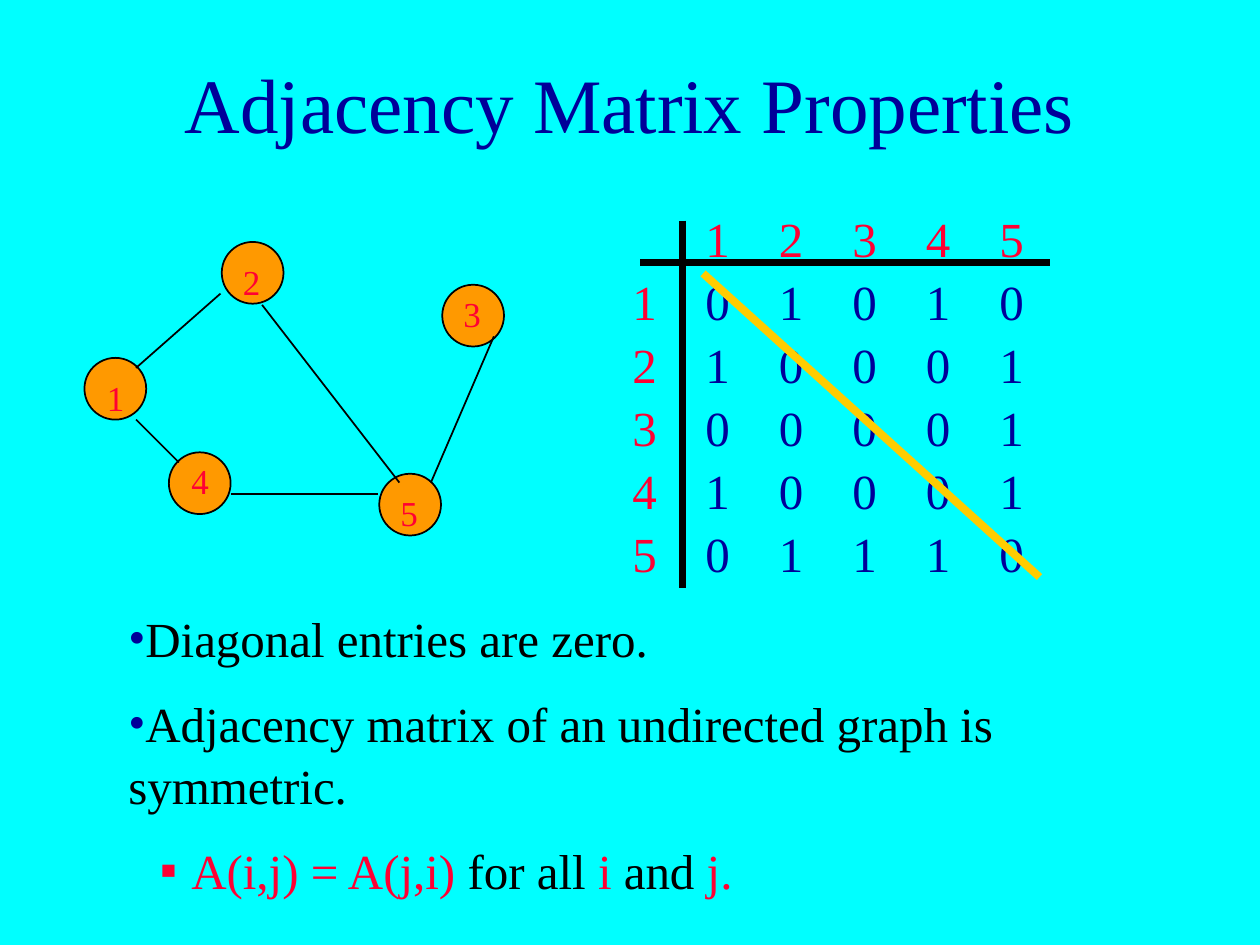
import pptx
import pptx.util
import pptx.dml.color
import pptx.enum.shapes
import pptx.enum.text
import pptx.oxml.ns
from lxml import etree

Inches, Pt = pptx.util.Inches, pptx.util.Pt
NAVY, RED, BLACK = "000099", "FF0033", "000000"
CYAN, ORANGE, GOLD = "00FFFF", "FF9900", "FFCC00"


def rgb(value):
    return pptx.dml.color.RGBColor.from_string(value)


def add_xml(parent, tag, **values):
    return etree.SubElement(parent, pptx.oxml.ns.qn(tag), **values)


class Sketch:
    font = "Times New Roman"
    line_spacing = 1.06

    def __init__(self, page):
        self.page = page
        self.shapes = page.shapes

    def start_group(self):
        self.shapes = self.page.shapes.add_group_shape().shapes

    def end_group(self):
        self.shapes = self.page.shapes

    def text_box(self, left, top, width, height, **frame_format):
        box = self.shapes.add_textbox(*map(Inches, (left, top, width, height)))
        values = {"word_wrap": True,
                  "auto_size": pptx.enum.text.MSO_AUTO_SIZE.SHAPE_TO_FIT_TEXT}
        for name, value in {**values, **frame_format}.items():
            setattr(box.text_frame, name, value)
        return box.text_frame

    def fill_para(self, para, spans, size, **para_format):
        for name, value in {"line_spacing": self.line_spacing, **para_format}.items():
            setattr(para, name, value)
        for text, color in spans:
            span = para.add_run()
            span.text = text
            for name, value in {"name": self.font, "size": Pt(size)}.items():
                setattr(span.font, name, value)
            span.font.color.rgb = rgb(color)

    def label(self, text, left, top, width, height, size, color):
        frame = self.text_box(left, top, width, height)
        self.fill_para(frame.paragraphs[0], [(text, color)], size)

    def bullet(self, para, mark, color, margin=0, indent=0):
        props = para._p.get_or_add_pPr()
        props.set("marL", str(Inches(margin)))
        props.set("indent", str(Inches(indent)))
        add_xml(add_xml(props, "a:buClr"), "a:srgbClr", val=color)
        add_xml(props, "a:buFont", typeface=self.font)
        add_xml(props, "a:buChar", char=mark)

    def circle(self, left, top, size, fill):
        shape = self.shapes.add_shape(pptx.enum.shapes.MSO_SHAPE.OVAL,
                                      *map(Inches, (left, top, size, size)))
        shape.shadow.inherit = False
        shape.fill.solid()
        shape.fill.fore_color.rgb = rgb(fill)
        shape.line.color.rgb = rgb(BLACK)
        shape.line.width = Pt(1)

    def line(self, start, end, color=BLACK, width=1):
        line = self.shapes.add_connector(pptx.enum.shapes.MSO_CONNECTOR.STRAIGHT,
                                         *map(Inches, (*start, *end)))
        line.line.color.rgb = rgb(color)
        line.line.width = Pt(width)
        add_xml(line._element.spPr, "a:effectLst")


deck = pptx.Presentation()
deck.slide_width, deck.slide_height = Inches(10), Inches(7.5)
page = deck.slides.add_slide(deck.slide_layouts[6])
page.background.fill.solid()
page.background.fill.fore_color.rgb = rgb(CYAN)
sketch = Sketch(page)

# Title
title = sketch.text_box(0.75, 0.17, 8.5, 1.25,
                        auto_size=pptx.enum.text.MSO_AUTO_SIZE.NONE,
                        vertical_anchor=pptx.enum.text.MSO_ANCHOR.MIDDLE)
sketch.fill_para(title.paragraphs[0], [("Adjacency Matrix Properties", NAVY)], 44,
                 alignment=pptx.enum.text.PP_ALIGN.CENTER)

# Graph: node circles, edges, then node numbers
nodes = {"1": ((0.67, 2.84), (0.75, 2.92)),
         "2": ((1.76, 1.92), (1.83, 2)),
         "3": ((3.51, 2.26), (3.58, 2.25)),
         "4": ((1.34, 3.59), (1.42, 3.58)),
         "5": ((3.01, 3.76), (3.08, 3.83))}
edges = [((1.75, 2.33), (1.08, 2.92)),
         ((2.08, 2.42), (3.17, 3.83)),
         ((1.08, 3.33), (1.42, 3.67)),
         ((3.92, 2.67), (3.42, 3.83)),
         ((1.83, 3.92), (3, 3.92))]
sketch.start_group()
for circle_at, _ in nodes.values():
    sketch.circle(*circle_at, 0.49, ORANGE)
for start, end in edges:
    sketch.line(start, end)
for number, (_, label_at) in nodes.items():
    sketch.label(number, *label_at, 0.25, 0.43, 20, RED)

# Adjacency matrix with row and column headings
matrix = ["01010", "10001", "00001", "10001", "01110"]
matrix_left, matrix_top = 5.5, 2.08
column_step, row_step = 7 / 12, 0.5
sketch.start_group()
sketch.line((5.08, 2.08), (8.33, 2.08), width=4)
sketch.line((5.42, 1.75), (5.42, 4.67), width=4)
for index, entries in enumerate(matrix):
    heading = str(index + 1)
    row_top = matrix_top + index * row_step
    sketch.label(heading, matrix_left + index * column_step, 1.58, 0.5, 0.57, 28, RED)
    sketch.label(heading, 4.92, row_top, 0.5, 0.57, 28, RED)
    for column, entry in enumerate(entries):
        sketch.label(entry, matrix_left + column * column_step, row_top,
                     0.33, 0.57, 28, NAVY)
sketch.end_group()

# Diagonal
sketch.line((5.58, 2.17), (8.25, 4.58), GOLD, 4.5)

# Properties
properties = [
    ([("Diagonal entries are zero.", BLACK)], ("•", NAVY)),
    ([("Adjacency matrix of an undirected graph is symmetric.", BLACK)], ("•", NAVY)),
    ([("A(i,j) = A(j,i) ", RED), ("for all ", BLACK), ("i ", RED),
      ("and ", BLACK), ("j.", RED)], ("▪", RED, 0.5, -0.25)),
]
frame = sketch.text_box(0.92, 4.75, 8.7, 2.46)
for index, (spans, mark) in enumerate(properties):
    para = frame.add_paragraph() if index else frame.paragraphs[0]
    para.level = 1 if len(mark) > 2 else 0
    sketch.fill_para(para, spans, 28, space_before=Pt(13 if index else 0))
    sketch.bullet(para, *mark)

deck.save("out.pptx")
